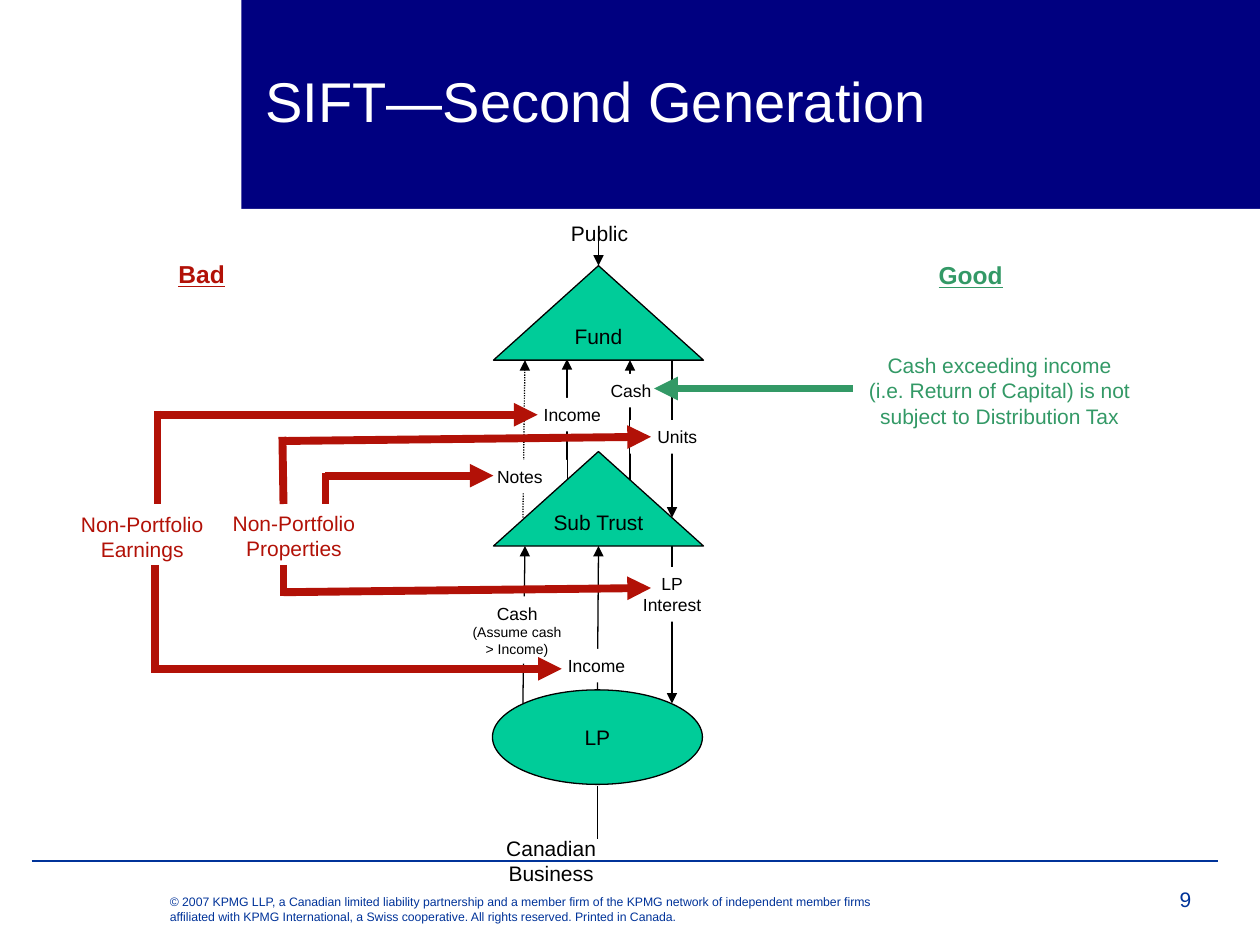
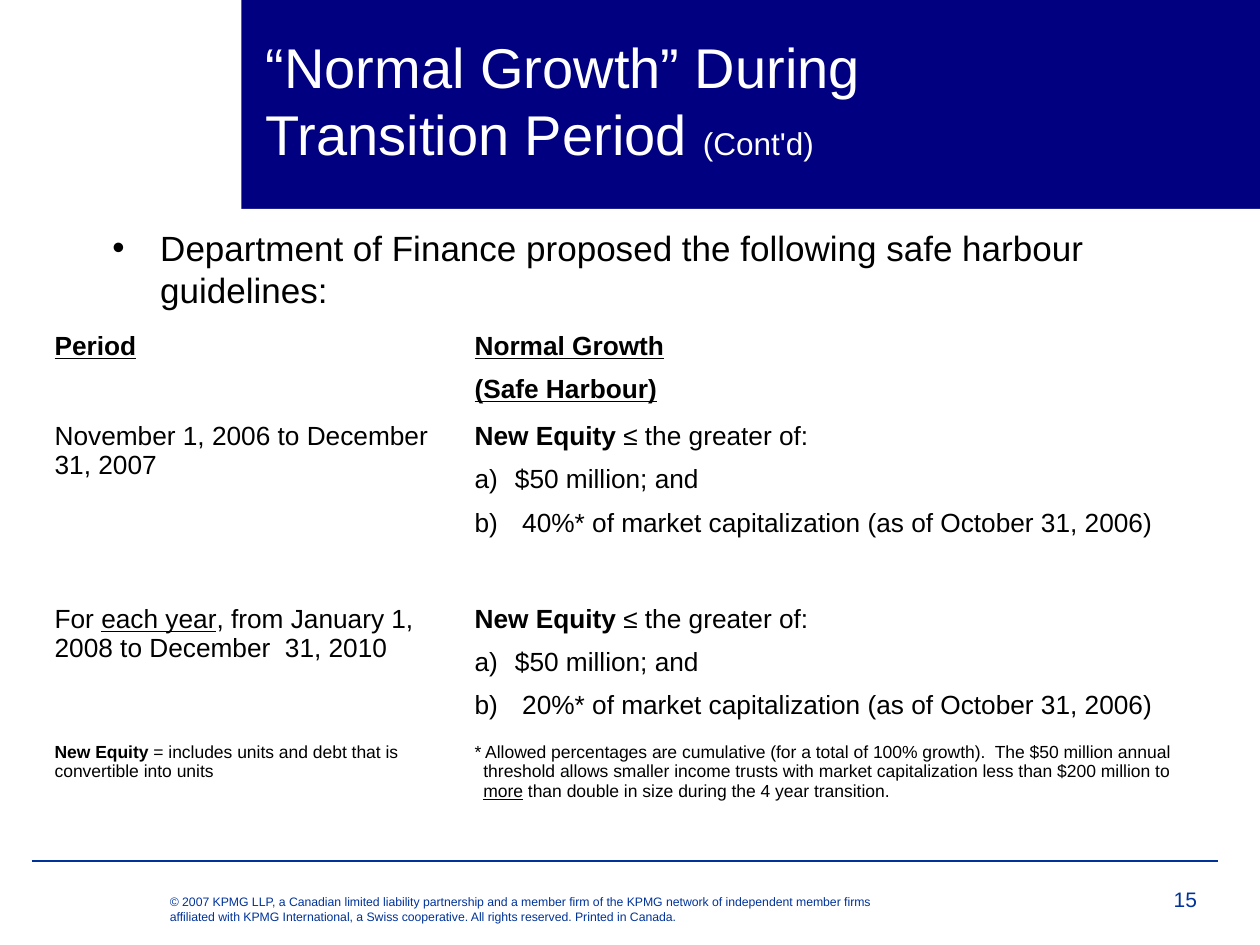
from dataclasses import dataclass
from typing import NamedTuple, Optional

from lxml.etree import SubElement
from pptx import Presentation
from pptx.dml.color import RGBColor
from pptx.enum.dml import MSO_LINE as Dash
from pptx.enum.shapes import MSO_CONNECTOR as Link, MSO_SHAPE as Kind
from pptx.enum.text import MSO_ANCHOR as Anchor, MSO_AUTO_SIZE as Fit, PP_ALIGN as Align
from pptx.oxml.ns import qn
from pptx.util import Emu, Inches, Pt

FONT = "Arial"
NAVY = RGBColor(0x00, 0x00, 0x80)
BLUE = RGBColor(0x00, 0x33, 0x99)
TEAL = RGBColor(0x00, 0xCC, 0x99)
RED = RGBColor(0xB2, 0x11, 0x07)
GREEN = RGBColor(0x33, 0x99, 0x66)
BLACK = RGBColor(0x00, 0x00, 0x00)
WHITE = RGBColor(0xFF, 0xFF, 0xFF)

WIDE, HIGH = Inches(10), Inches(7.5)
COLS, ROWS = 120, 90
THIN, THICK = 0.75, 4.5
LIST_GAP = 8
COPYRIGHT = (
    "© 2007 KPMG LLP, a Canadian limited liability partnership and a member firm "
    "of the KPMG network of independent member firms affiliated with KPMG "
    "International, a Swiss cooperative. All rights reserved. Printed in Canada."
)


class Box(NamedTuple):
    col: float
    row: float
    cols: float
    rows: float


class Run(NamedTuple):
    text: str
    size: float = 12
    color: RGBColor = BLACK
    bold: bool = False
    under: bool = False


@dataclass
class Line:
    ends: tuple
    color: RGBColor = BLACK
    width: float = THIN
    head: bool = True
    dots: bool = False


@dataclass
class Label:
    box: Box
    lines: list
    fill: Optional[RGBColor] = None


@dataclass
class Node:
    kind: Kind
    box: Box
    name: str


@dataclass
class Para:
    runs: list
    letter: bool = False
    hang: float = 0


def across(col: float) -> Emu:
    return Emu(round(WIDE * col / COLS))


def down(row: float) -> Emu:
    return Emu(round(HIGH * row / ROWS))


def place(box: Box) -> tuple:
    return across(box.col), down(box.row), across(box.cols), down(box.rows)


def move(shape, box: Box) -> None:
    shape.left, shape.top, shape.width, shape.height = place(box)


def write(para, runs: list) -> None:
    for item in runs:
        if item.text == "\n":
            para.add_line_break()
            continue
        run = para.add_run()
        run.text = item.text
        font = run.font
        font.name, font.size, font.bold = FONT, Pt(item.size), item.bold
        font.underline = item.under
        font.color.rgb = item.color


def next_para(frame, first: bool):
    return frame.paragraphs[0] if first else frame.add_paragraph()


def hang(para, inches: float) -> None:
    props = para._p.get_or_add_pPr()
    props.set("marL", str(Inches(inches)))
    props.set("indent", str(-Inches(inches)))


def draw_shape(slide, kind: Kind, box: Box, fill: RGBColor, edge: Optional[RGBColor] = None):
    shape = slide.shapes.add_shape(kind, *place(box))
    shape.shadow.inherit = False
    shape.fill.solid()
    shape.fill.fore_color.rgb = fill
    if edge is None:
        shape.line.fill.background()
    else:
        shape.line.color.rgb = edge
        shape.line.width = Pt(THIN)
    return shape


def draw_line(slide, line: Line) -> None:
    x1, y1, x2, y2 = line.ends
    link = slide.shapes.add_connector(Link.STRAIGHT, across(x1), down(y1), across(x2), down(y2))
    link.line.color.rgb = line.color
    link.line.width = Pt(line.width)
    if line.dots:
        link.line.dash_style = Dash.ROUND_DOT
    if line.head:
        SubElement(link.line._get_or_add_ln(), qn("a:tailEnd"), type="triangle")
    SubElement(link._element.spPr, qn("a:effectLst"))


def draw_label(slide, label: Label) -> None:
    if label.fill is None:
        shape = slide.shapes.add_textbox(*place(label.box))
    else:
        shape = draw_shape(slide, Kind.RECTANGLE, label.box, label.fill)
    frame = shape.text_frame
    frame.word_wrap = True
    frame.vertical_anchor = Anchor.TOP
    frame.margin_left = frame.margin_right = 0
    for i, run in enumerate(label.lines):
        para = next_para(frame, i == 0)
        para.alignment = Align.CENTER
        write(para, [run])


def draw_node(slide, node: Node) -> None:
    frame = draw_shape(slide, node.kind, node.box, TEAL, BLACK).text_frame
    frame.word_wrap = False
    frame.vertical_anchor = Anchor.MIDDLE
    frame.paragraphs[0].alignment = Align.CENTER
    write(frame.paragraphs[0], [Run(node.name)])


def add_page(deck, layout: int, page: int, title: list):
    slide = deck.slides.add_slide(deck.slide_layouts[layout])
    draw_line(slide, Line((3, 82, 116, 82), BLUE, head=False))
    draw_shape(slide, Kind.RECTANGLE, Box(23, 0, 97, 19.9), NAVY)
    draw_shape(slide, Kind.RECTANGLE, Box(0, 19.9, COLS, 2), WHITE)
    draw_label(slide, Label(Box(109.9, 83.8, 6, 4), [Run(str(page), 12, BLUE)]))
    note = slide.shapes.add_textbox(*place(Box(15, 84.6, 70, 4))).text_frame
    note.word_wrap = True
    write(note.paragraphs[0], [Run(COPYRIGHT, 7, BLUE)])
    head = slide.shapes.title
    move(head, Box(24.1, 2, 88, 15))
    slide.shapes.element.append(head.element)
    frame = head.text_frame
    frame.auto_size = Fit.NONE
    frame.vertical_anchor = Anchor.MIDDLE
    frame.paragraphs[0].alignment = Align.LEFT
    write(frame.paragraphs[0], title)
    return slide


def build_chart(deck) -> None:
    slide = add_page(deck, 5, 9, [Run("SIFT—Second Generation", 32, WHITE)])
    flows = [
        Line((54, 47.2, 54, 34.2)),
        Line((56.9, 65.6, 57, 52)),
        Line((56.9, 74.9, 56.9, 79.9), head=False),
        Line((64, 52, 64, 67)),
        Line((49.8, 67, 50, 52)),
        Line((64, 34.3, 64, 49.3)),
        Line((49.8, 49.3, 50, 34.3), dots=True),
        Line((60, 47.3, 60, 34.3)),
        Line((57, 23, 57, 25.3)),
    ]
    tags = [
        (Box(43.8, 56.8, 10.9, 6.4), [Run("Cash", 10), Run("(Assume cash", 8), Run("> Income)", 8)]),
        (Box(59.5, 54, 9, 5.2), [Run("LP", 10), Run("Interest", 10)]),
        (Box(60, 40, 9, 3.2), [Run("Units", 10)]),
        (Box(57, 35.6, 6.2, 3.2), [Run("Cash", 10)]),
        (Box(50, 37.9, 9, 3.2), [Run("Income", 10)]),
        (Box(45, 43.8, 9, 3.2), [Run("Notes", 10)]),
        (Box(52.3, 61.8, 9, 3.2), [Run("Income", 10)]),
    ]
    bad_paths = [
        ((31, 45.3, 47, 45.3), (31, 45, 31, 48)),
        ((27, 42, 62, 41.6), (26.9, 41.6, 27, 48)),
        ((27, 56.4, 62, 56), (27, 53.8, 27, 56.8)),
        ((14.8, 63.7, 53.5, 63.7), (14.8, 53.8, 14.8, 64.1)),
        ((15.2, 39.5, 51.2, 39.5), (15, 39.1, 15, 48)),
    ]
    nodes = [
        Node(Kind.ISOSCELES_TRIANGLE, Box(47, 25.3, 20, 9), "Fund"),
        Node(Kind.ISOSCELES_TRIANGLE, Box(47, 43, 20, 9), "Sub Trust"),
        Node(Kind.OVAL, Box(46.9, 65.7, 20, 9), "LP"),
    ]
    notes = [
        Label(Box(21, 48, 14, 6), [Run("Non-Portfolio", 12, RED), Run("Properties", 12, RED)]),
        Label(Box(6, 48.1, 15.1, 6), [Run("Non-Portfolio", 12, RED), Run("Earnings", 12, RED)]),
        Label(Box(15.8, 24.1, 6.8, 4), [Run("Bad", 14, RED, True, True)]),
        Label(Box(88.2, 24.2, 8.5, 4), [Run("Good", 14, GREEN, True, True)]),
        Label(Box(81.6, 33, 27.2, 8.4), [
            Run("Cash exceeding income", 12, GREEN),
            Run("(i.e. Return of Capital) is not", 12, GREEN),
            Run("subject to Distribution Tax", 12, GREEN),
        ]),
        Label(Box(47, 79, 11, 6), [Run("Canadian Business")]),
        Label(Box(53.2, 20.4, 7.8, 3.6), [Run("Public")]),
    ]
    for flow in flows:
        draw_line(slide, flow)
    for box, lines in tags:
        draw_label(slide, Label(box, lines, WHITE))
    for arrow, stem in bad_paths:
        draw_line(slide, Line(arrow, RED, THICK))
        draw_line(slide, Line(stem, RED, THICK, head=False))
    draw_line(slide, Line((81.2, 37, 62.3, 37), GREEN, THICK))
    for node in nodes:
        draw_node(slide, node)
    for note in notes:
        draw_label(slide, note)


def fill_cell(cell, paras: list) -> None:
    cell.fill.background()
    for i, item in enumerate(paras):
        para = next_para(cell.text_frame, i == 0)
        if item.hang:
            hang(para, item.hang)
        if item.letter:
            SubElement(para._p.get_or_add_pPr(), qn("a:buAutoNum"), type="alphaLcParenR")
        para.space_before = Pt(LIST_GAP if i else 0)
        write(para, item.runs)


def limits(share: str) -> list:
    return [
        Para([Run("New Equity", 15, bold=True), Run(" ≤ the greater of:", 15)]),
        Para([Run("$50 million; and", 15)], True, 0.32),
        Para([Run(f" {share}* of market capitalization (as of October 31, 2006)", 15)], True, 0.32),
    ]


def build_table(deck) -> None:
    slide = add_page(deck, 1, 15, [
        Run("“Normal Growth” During", 32, WHITE), Run("\n"),
        Run("Transition Period ", 32, WHITE), Run("(Cont'd)", 18, WHITE),
    ])
    body = slide.placeholders[1]
    move(body, Box(9.5, 21, 102, 14))
    slide.shapes.element.append(body.element)
    body.text_frame.auto_size = Fit.NONE
    para = body.text_frame.paragraphs[0]
    hang(para, 0.38)
    SubElement(para._p.get_or_add_pPr(), qn("a:buChar"), char="•")
    para.space_before = Pt(0)
    write(para, [Run("Department of Finance proposed the following safe harbour guidelines:", 20)])

    rows = [
        (8.6, [Para([Run("Period", 15, bold=True, under=True)])],
         [Para([Run(text, 15, bold=True, under=True)]) for text in ("Normal Growth", "(Safe Harbour)")]),
        (17.4, [Para([Run("November 1, 2006 to December 31, 2007", 15)])], limits("40%")),
        (13.1, [Para([Run("For ", 15), Run("each year", 15, under=True),
                      Run(", from January 1, 2008 to December  31, 2010", 15)])], limits("20%")),
        (10, [Para([Run("New Equity", 10, bold=True),
                    Run(" = includes units and debt that is convertible into units", 10)])],
         [Para([Run("* Allowed percentages are cumulative (for a total of 100% growth).  The $50 million "
                    "annual threshold allows smaller income trusts with market capitalization less "
                    "than $200 million to", 10), Run("\n"), Run("more", 10, under=True),
                Run(" than double in size during the 4 year transition.", 10)], hang=0.07)]),
    ]
    total = sum(row[0] for row in rows)
    grid = slide.shapes.add_table(len(rows), 2, *place(Box(4, 31, 114, total))).table
    grid.first_row = grid.horz_banding = False
    for col, cols in zip(grid.columns, (40, 74)):
        col.width = across(cols)
    for i, (height, left, right) in enumerate(rows):
        grid.rows[i].height = down(height)
        fill_cell(grid.cell(i, 0), left)
        fill_cell(grid.cell(i, 1), right)


def main() -> None:
    deck = Presentation()
    deck.slide_width, deck.slide_height = WIDE, HIGH
    build_chart(deck)
    build_table(deck)
    deck.save("out.pptx")


if __name__ == "__main__":
    main()
